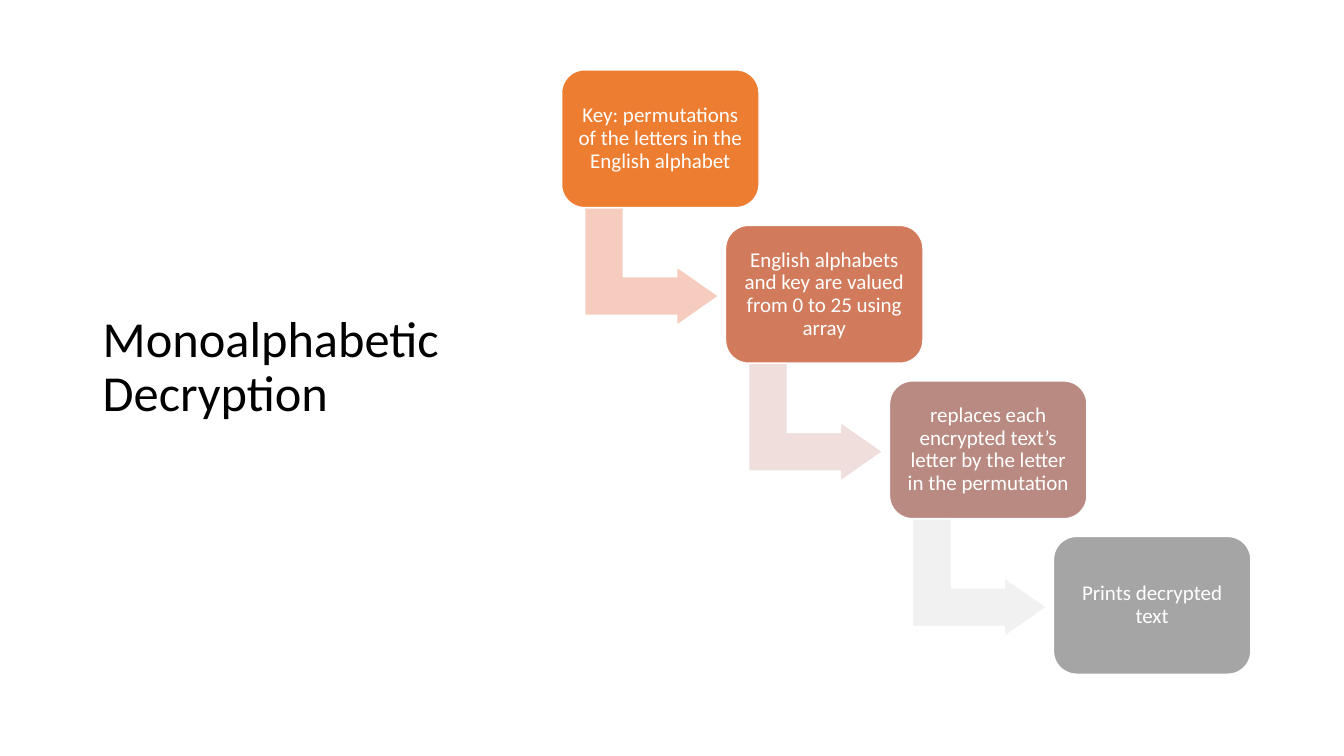
from pptx import Presentation
from pptx.dml.color import RGBColor
from pptx.enum.shapes import MSO_SHAPE
from pptx.enum.text import MSO_ANCHOR, MSO_AUTO_SIZE, PP_ALIGN
from pptx.util import Pt

ROUND_BOX, BENT_ARROW = MSO_SHAPE.ROUNDED_RECTANGLE, MSO_SHAPE.BENT_UP_ARROW
LEFT, CENTER = PP_ALIGN.LEFT, PP_ALIGN.CENTER

BOX_LEFT, BOX_TOP, BOX_W, BOX_H = 401.2, 49.9, 141, 98.4
STEP_X, STEP_Y = 117.1, 111.1
ARROW_DX, ARROW_DY, ARROW_W, ARROW_H = 22.2, 92.7, 84.2, 95.8

# text, box colour, colour of the arrow to the next step
STEPS = [
    ("Key: permutations of the letters in the English alphabet", "ED7D31", "F6CCBE"),
    ("English alphabets and key are valued from 0 to 25 using array", "D17B5C", "EFDEDC"),
    ("replaces each encrypted text’s letter by the letter in the permutation", "B98A82", "F1F1F1"),
    ("Prints decrypted text", "A5A5A5", None),
]


def add_text(sp, text, size, color, align, inset_x, inset_y):
    tf = sp.text_frame
    tf.word_wrap = True
    tf.auto_size = MSO_AUTO_SIZE.NONE
    tf.vertical_anchor = MSO_ANCHOR.MIDDLE
    tf.margin_left = tf.margin_right = Pt(inset_x)
    tf.margin_top = tf.margin_bottom = Pt(inset_y)
    p = tf.paragraphs[0]
    p.alignment = align
    p.line_spacing = 0.9
    r = p.add_run()
    r.text = text
    r.font.name = "Calibri"
    r.font.size = Pt(size)
    r.font.color.rgb = RGBColor.from_string(color)


def add_block(s, kind, x, y, w, h, fill, adjustments):
    sp = s.shapes.add_shape(kind, Pt(x), Pt(y), Pt(w), Pt(h))
    sp.shadow.inherit = False
    sp.fill.solid()
    sp.fill.fore_color.rgb = RGBColor.from_string(fill)
    sp.line.color.rgb = RGBColor.from_string("FFFFFF")
    sp.line.width = Pt(1)
    for i, value in enumerate(adjustments):
        sp.adjustments[i] = value
    return sp


prs = Presentation()
prs.slide_width, prs.slide_height = Pt(960), Pt(540)
s = prs.slides.add_slide(prs.slide_layouts[5])

title = s.shapes.title
title.left, title.top, title.width, title.height = Pt(66.2), Pt(43.9), Pt(265.7), Pt(438.5)
add_text(title, "Monoalphabetic Decryption", 36, "000000", LEFT, 7.2, 3.6)

for i, (text, box_color, arrow_color) in enumerate(STEPS):
    x, y = BOX_LEFT + i * STEP_X, BOX_TOP + i * STEP_Y
    if arrow_color:
        arrow = add_block(s, BENT_ARROW, x + ARROW_DX, y + ARROW_DY, ARROW_W, ARROW_H,
                          arrow_color, [0.328, 0.25, 0.358])
        arrow.rotation = 90
    box = add_block(s, ROUND_BOX, x, y, BOX_W, BOX_H, box_color, [0.167])
    add_text(box, text, 15, "FFFFFF", CENTER, 4.3, 4.3)

prs.save("out.pptx")
